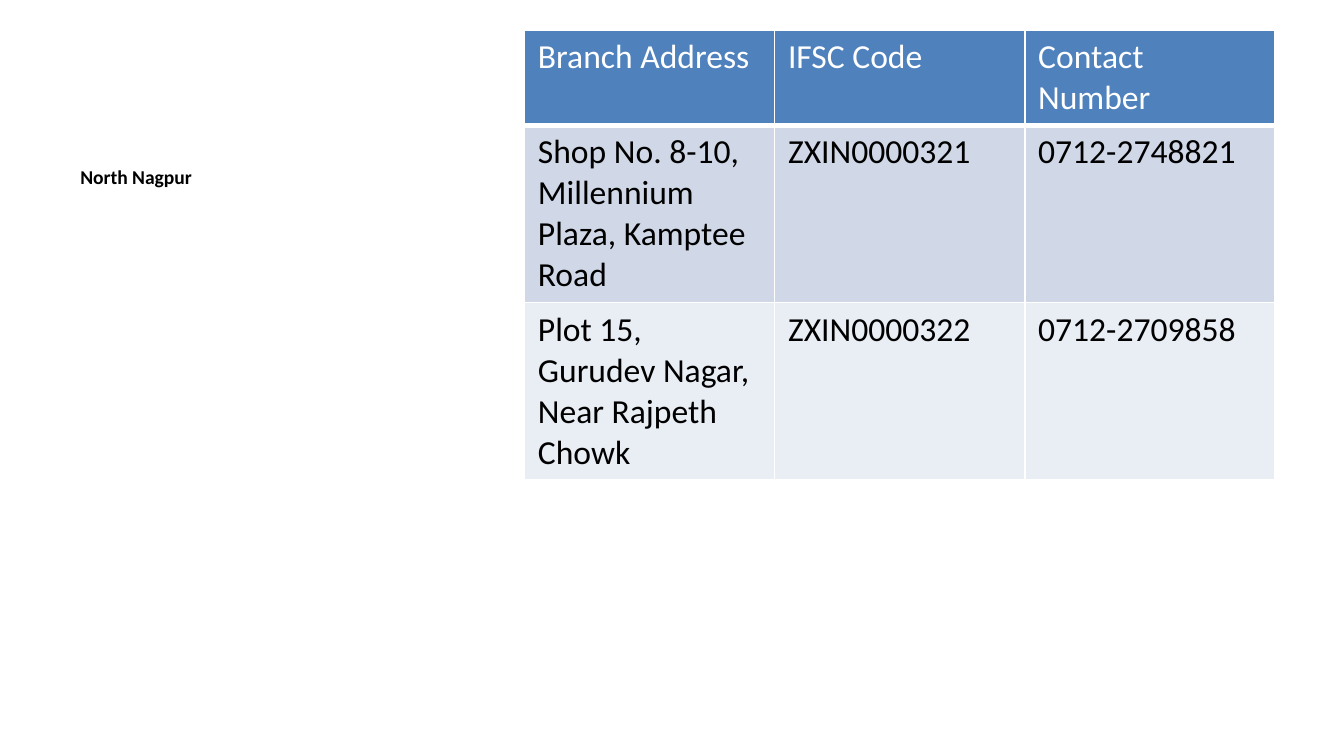
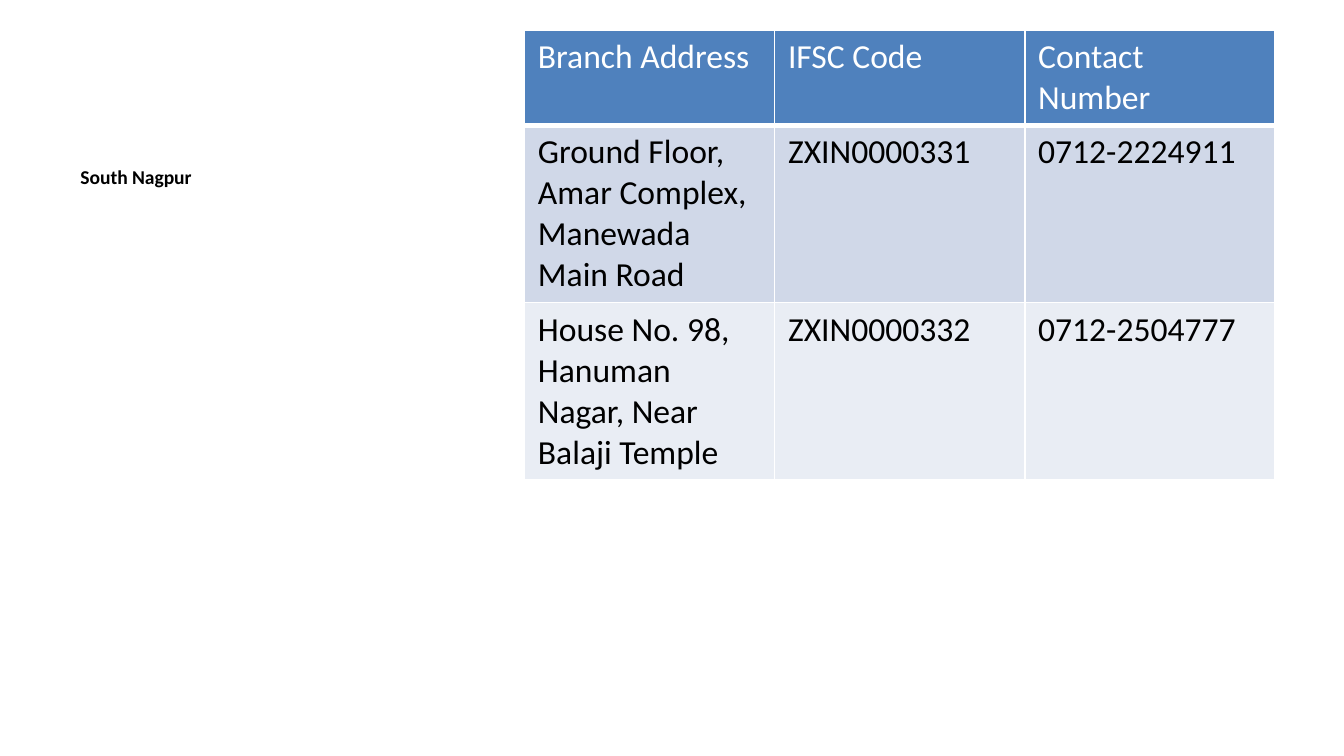
import pptx
import pptx.dml.color
import pptx.util
from lxml import etree
from pptx.oxml.ns import qn

Pt = pptx.util.Pt

FONT = "Calibri"
WHITE = "FFFFFF"
BLACK = "000000"
HEADER_FILL = "4F81BD"
BAND_FILLS = ("D0D8E8", "E9EDF4")

HEADINGS = ("Branch Address", "IFSC Code", "Contact Number")
COLUMN_WIDTH = 134
ROW_HEIGHTS = (51, 95, 95)

REGIONS = {
    "North Nagpur": (
        ("Shop No. 8-10, Millennium Plaza, Kamptee Road", "ZXIN0000321", "0712-2748821"),
        ("Plot 15, Gurudev Nagar, Near Rajpeth Chowk", "ZXIN0000322", "0712-2709858"),
    ),
    "South Nagpur": (
        ("Ground Floor, Amar Complex, Manewada Main Road", "ZXIN0000331", "0712-2224911"),
        ("House No. 98, Hanuman Nagar, Near Balaji Temple", "ZXIN0000332", "0712-2504777"),
    ),
}


def color(hex_value):
    return pptx.dml.color.RGBColor.from_string(hex_value)


def set_text(paragraph, text, size, hex_value, bold=False):
    paragraph.text = text
    paragraph.font.name = FONT
    paragraph.font.size = Pt(size)
    paragraph.font.bold = bold
    paragraph.font.color.rgb = color(hex_value)


def add_region_name(slide, name):
    box = slide.shapes.add_textbox(Pt(36), Pt(85), Pt(237), Pt(277))
    box.text_frame.word_wrap = True
    set_text(box.text_frame.paragraphs[0], name, 10.5, BLACK, bold=True)


def set_borders(cell, bottom_width):
    """Draw white borders, one point wide except at the bottom."""
    properties = cell._tc.get_or_add_tcPr()
    for side, width in (("L", 1), ("R", 1), ("T", 1), ("B", bottom_width)):
        line = etree.SubElement(properties, qn(f"a:ln{side}"), w=str(Pt(width)))
        fill = etree.SubElement(line, qn("a:solidFill"))
        etree.SubElement(fill, qn("a:srgbClr"), val=WHITE)


def style_cell(cell, text, row_index):
    is_header = row_index == 0
    set_borders(cell, 3 if is_header else 1)
    cell.fill.solid()
    cell.fill.fore_color.rgb = color(
        HEADER_FILL if is_header else BAND_FILLS[(row_index - 1) % 2])
    set_text(cell.text_frame.paragraphs[0], text, 18, WHITE if is_header else BLACK)


def add_branch_table(slide, branches):
    rows = (HEADINGS, *branches)
    frame = slide.shapes.add_table(
        len(rows), len(HEADINGS), Pt(281), Pt(16),
        Pt(COLUMN_WIDTH * len(HEADINGS)), Pt(sum(ROW_HEIGHTS)))
    table = frame.table
    for column in table.columns:
        column.width = Pt(COLUMN_WIDTH)
    for row_index, texts in enumerate(rows):
        table.rows[row_index].height = Pt(ROW_HEIGHTS[row_index])
        for column_index, text in enumerate(texts):
            style_cell(table.cell(row_index, column_index), text, row_index)


def main():
    presentation = pptx.Presentation()
    presentation.slide_width = Pt(720)
    presentation.slide_height = Pt(405)
    for name, branches in REGIONS.items():
        slide = presentation.slides.add_slide(presentation.slide_layouts[6])
        add_region_name(slide, name)
        add_branch_table(slide, branches)
    presentation.save("out.pptx")


if __name__ == "__main__":
    main()
